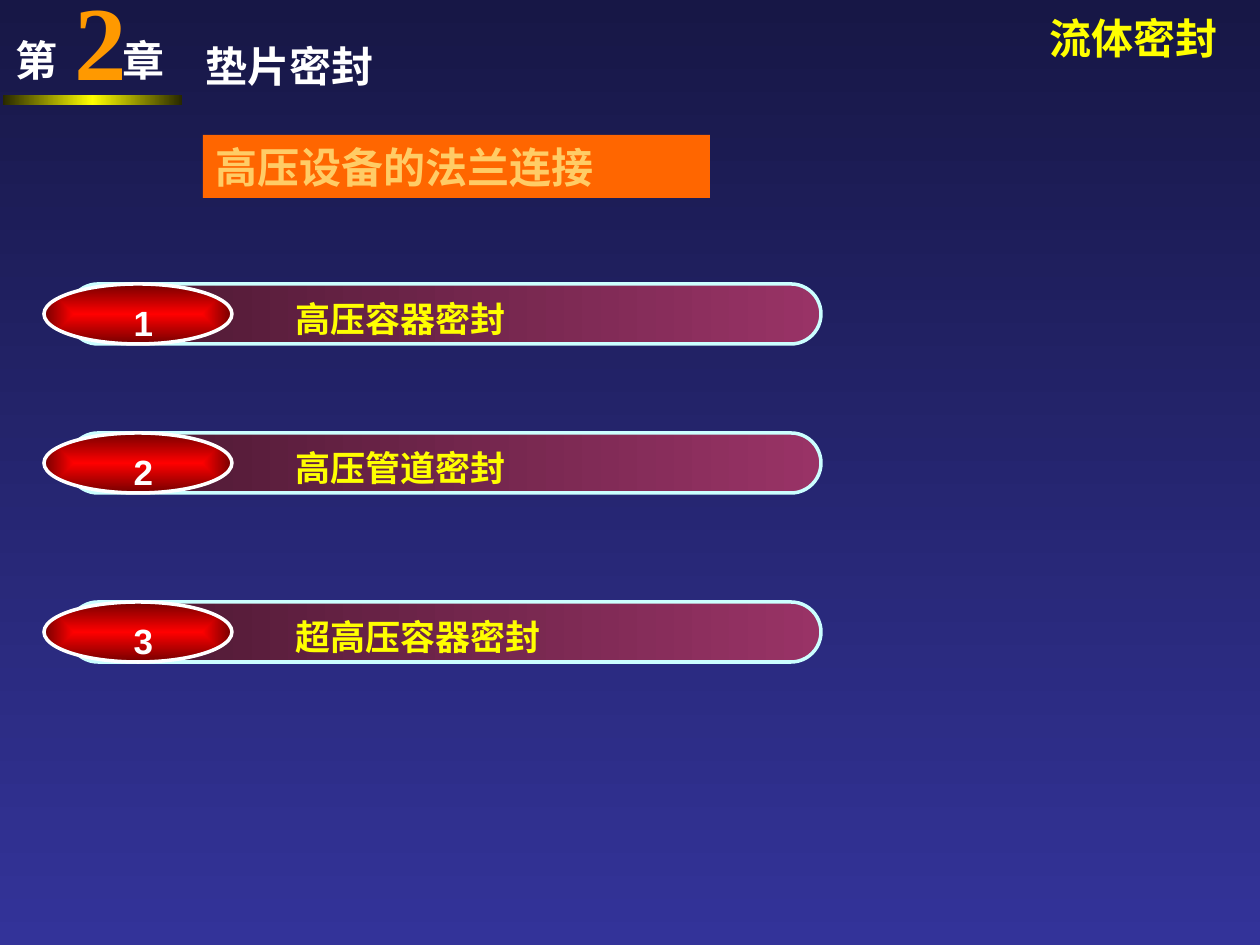
from dataclasses import dataclass
from typing import Optional

from lxml import etree
from pptx import Presentation
from pptx.dml.color import RGBColor
from pptx.enum.shapes import MSO_SHAPE
from pptx.enum.text import PP_ALIGN
from pptx.oxml import parse_xml
from pptx.oxml.ns import qn
from pptx.util import Pt

RECT, PILL, OVAL = MSO_SHAPE.RECTANGLE, MSO_SHAPE.ROUNDED_RECTANGLE, MSO_SHAPE.OVAL
LEFT, CENTER = PP_ALIGN.LEFT, PP_ALIGN.CENTER
EMU_PER_PX = 914400 / 126
DRAWING_NS = "http://schemas.openxmlformats.org/drawingml/2006/main"


@dataclass(frozen=True)
class Gradient:
    stops: tuple[tuple[int, str], ...]
    angle: Optional[int] = None  # None means a rectangular burst from the centre


@dataclass(frozen=True)
class Theme:
    serif: str = "Times New Roman"
    sans: str = "Arial"
    chinese: str = "Noto Sans CJK SC"
    white: str = "FFFFFF"
    yellow: str = "FFFF00"
    chapter: str = "FF9900"
    banner: str = "FF6600"
    banner_text: str = "FFCC66"
    bar_line: str = "CCFFFF"
    heading_size: int = 24
    item_size: int = 20
    chapter_size: int = 60
    outline: int = 2
    background: Gradient = Gradient(((0, "171746"), (100, "333399")), 90)
    rule: Gradient = Gradient(((0, "282800"), (50, "FFFF00"), (100, "282800")), 180)
    bar: Gradient = Gradient(((0, "993366"), (100, "46172F")), 180)
    badge: Gradient = Gradient(((0, "FF0000"), (100, "750000")))


@dataclass(frozen=True)
class Box:
    left: int
    top: int
    width: int
    height: int

    def emu(self) -> list[int]:
        return [px(v) for v in (self.left, self.top, self.width, self.height)]


@dataclass(frozen=True)
class Style:
    size: int
    color: str
    latin: str
    align: PP_ALIGN = LEFT


@dataclass(frozen=True)
class Topic:
    number: int
    title: str
    top: int


THEME = Theme()
HEADING = Style(THEME.heading_size, THEME.white, THEME.serif)
TOPICS = (
    Topic(1, "高压容器密封", 284),
    Topic(2, "高压管道密封", 433),
    Topic(3, "超高压容器密封", 602),
)


def px(value: int) -> int:
    return round(value * EMU_PER_PX)


def gradient_fill(gradient: Gradient):
    stops = "".join(
        f'<a:gs pos="{pos * 1000}"><a:srgbClr val="{color}"/></a:gs>'
        for pos, color in gradient.stops
    )
    if gradient.angle is None:
        shade = ('<a:path path="rect"><a:fillToRect l="50000" t="50000" '
                 'r="50000" b="50000"/></a:path>')
    else:
        shade = f'<a:lin ang="{gradient.angle * 60000}" scaled="0"/>'
    return parse_xml(f'<a:gradFill xmlns:a="{DRAWING_NS}" rotWithShape="1">'
                     f'<a:gsLst>{stops}</a:gsLst>{shade}</a:gradFill>')


def write(shape, text: str, style: Style, wrap: bool = True,
          tab: Optional[int] = None, inset: int = 6) -> None:
    frame = shape.text_frame
    frame.word_wrap = wrap
    frame.margin_top = frame.margin_bottom = px(inset)
    paragraph = frame.paragraphs[0]
    paragraph.text = text
    paragraph.alignment = style.align
    if tab is not None:
        tabs = etree.SubElement(paragraph._p.get_or_add_pPr(), qn("a:tabLst"))
        etree.SubElement(tabs, qn("a:tab"), pos=str(px(tab)), algn="l")
    for run in paragraph.runs:
        font = run.font
        font.size, font.bold, font.name = Pt(style.size), True, style.latin
        font.color.rgb = RGBColor.from_string(style.color)
        etree.SubElement(run._r.get_or_add_rPr(), qn("a:ea"), typeface=THEME.chinese)


def add_text(slide, box: Box, text: str, style: Style, **options) -> None:
    write(slide.shapes.add_textbox(*box.emu()), text, style, **options)


def add_panel(slide, kind: MSO_SHAPE, box: Box, fill: Gradient | str,
              line: Optional[str] = None):
    panel = slide.shapes.add_shape(kind, *box.emu())
    panel.shadow.inherit = False
    if isinstance(fill, Gradient):
        panel._element.spPr.find(qn("a:prstGeom")).addnext(gradient_fill(fill))
    else:
        panel.fill.solid()
        panel.fill.fore_color.rgb = RGBColor.from_string(fill)
    if line:
        panel.line.color.rgb = RGBColor.from_string(line)
        panel.line.width = Pt(THEME.outline)
    else:
        panel.line.fill.background()
    return panel


def add_topic(slide, topic: Topic) -> None:
    bar = add_panel(slide, PILL, Box(68, topic.top, 753, 60), THEME.bar, THEME.bar_line)
    bar.adjustments[0] = 0.5
    add_panel(slide, OVAL, Box(44, topic.top, 188, 60), THEME.badge, THEME.white)
    add_text(slide, Box(54, topic.top + 11, 179, 55), str(topic.number),
             Style(THEME.item_size, THEME.white, THEME.sans, CENTER))
    add_text(slide, Box(283, topic.top + 7, 610, 55), topic.title,
             Style(THEME.item_size, THEME.yellow, THEME.serif))


def main() -> None:
    deck = Presentation()
    deck.slide_width, deck.slide_height = px(1260), px(945)
    slide = deck.slides.add_slide(deck.slide_layouts[6])

    # Background
    slide.background.fill.solid()
    backdrop = slide.background._cSld.bg.bgPr
    backdrop.replace(backdrop[0], gradient_fill(THEME.background))

    # Chapter mark
    add_text(slide, Box(3, 29, 220, 63), "第\t章", HEADING, tab=107)
    add_text(slide, Box(62, -24, 116, 126), "2",
             Style(THEME.chapter_size, THEME.chapter, THEME.serif), inset=0)
    add_panel(slide, RECT, Box(3, 95, 179, 10), THEME.rule)

    # Course and chapter titles
    add_text(slide, Box(1037, 6, 198, 59), "流体密封",
             Style(THEME.heading_size, THEME.yellow, THEME.chinese), wrap=False)
    add_text(slide, Box(193, 35, 238, 63), "垫片密封", HEADING)

    # Section banner
    banner = add_panel(slide, RECT, Box(203, 135, 507, 63), THEME.banner)
    write(banner, "高压设备的法兰连接",
          Style(THEME.heading_size, THEME.banner_text, THEME.serif))

    # Topic list
    for topic in TOPICS:
        add_topic(slide, topic)

    deck.save("out.pptx")


if __name__ == "__main__":
    main()
